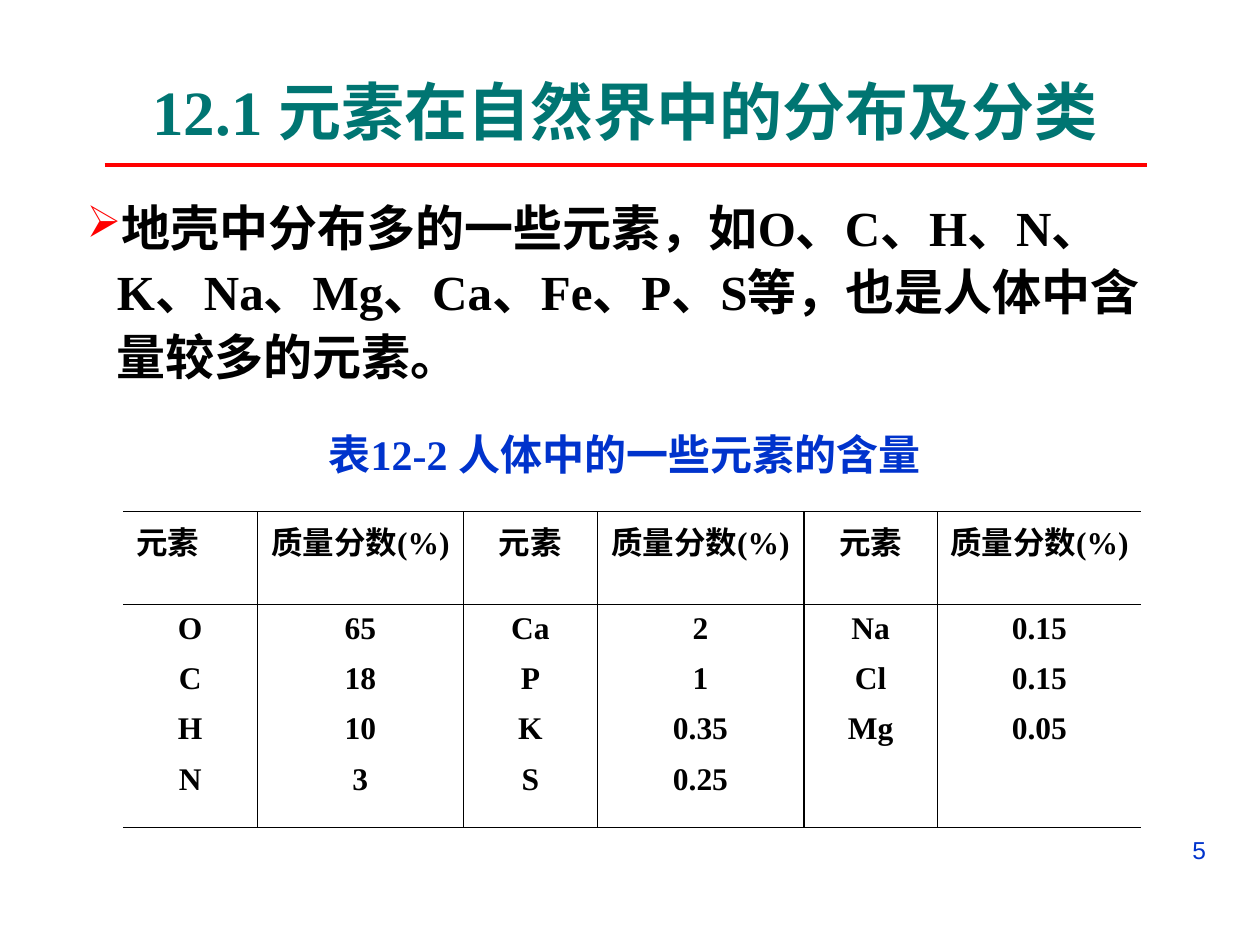
import pptx
import pptx.util
import pptx.dml.color
import pptx.enum.shapes
import pptx.enum.text
import pptx.oxml
import pptx.oxml.ns
from lxml import etree

Inches, Pt = pptx.util.Inches, pptx.util.Pt
ALIGN = pptx.enum.text.PP_ALIGN
ANCHOR = pptx.enum.text.MSO_ANCHOR
qn = pptx.oxml.ns.qn

# Content
TITLE = "12.1 元素在自然界中的分布及分类"
BODY = "地壳中分布多的一些元素，如O、C、H、N、K、Na、Mg、Ca、Fe、P、S等，也是人体中含量较多的元素。"
CAPTION = "表12-2 人体中的一些元素的含量"
PAGE = "5"
HEADER = ["元素", "质量分数(%)"] * 3
ROWS = [
    ["O", "65", "Ca", "2", "Na", "0.15"],
    ["C", "18", "P", "1", "Cl", "0.15"],
    ["H", "10", "K", "0.35", "Mg", "0.05"],
    ["N", "3", "S", "0.25", "", ""],
]
COL_WIDTHS = [1.06, 1.64, 1.06, 1.64, 1.06, 1.62]
ROW_HEIGHTS = [0.7, 0.4, 0.4, 0.4, 0.57]

COLORS = {"title": "007572", "rule": "FF0000", "accent": "0033CC", "text": "000000"}
SERIF, CJK = "Times New Roman", "Noto Sans CJK SC"
THIN, THICK = 0.45, 0.96
NO_STYLE = "{2D5ABB26-0587-4C30-8999-92F81FD0307C}"


def rgb(name):
    return pptx.dml.color.RGBColor.from_string(COLORS[name])


def write(tf, text, size, color="text", font=SERIF, bold=True, align=ALIGN.CENTER):
    """Put one formatted paragraph into a text frame."""
    p = tf.paragraphs[0]
    p.alignment = align
    r = p.add_run()
    r.text = text
    for name, value in {"size": Pt(size), "bold": bold, "name": font}.items():
        setattr(r.font, name, value)
    r.font.color.rgb = rgb(color)
    etree.SubElement(r.font._element, qn("a:ea"), typeface=CJK)
    return p


def set_frame(tf, anchor):
    values = {
        "word_wrap": True, "vertical_anchor": anchor,
        "auto_size": pptx.enum.text.MSO_AUTO_SIZE.NONE,
        "margin_left": Inches(0.1), "margin_right": Inches(0.1),
        "margin_top": Inches(0.05), "margin_bottom": Inches(0.05),
    }
    for name, value in values.items():
        setattr(tf, name, value)
    return tf


def add_text(s, box, anchor=ANCHOR.TOP):
    return set_frame(s.shapes.add_textbox(*map(Inches, box)).text_frame, anchor)


def add_bullet(p, char, color, indent):
    pPr = p._p.get_or_add_pPr()
    pPr.set("marL", str(Inches(indent)))
    pPr.set("indent", str(-Inches(indent)))
    clr = etree.SubElement(pPr, qn("a:buClr"))
    etree.SubElement(clr, qn("a:srgbClr"), val=COLORS[color])
    etree.SubElement(pPr, qn("a:buSzPct"), val="90000")
    etree.SubElement(pPr, qn("a:buChar"), char=char)


def set_borders(cell, widths):
    """Draw the given sides (L, R, T, B) with widths in points; hide the others."""
    tcPr = cell._tc.get_or_add_tcPr()
    for i, side in enumerate("LRTB"):
        width = widths.get(side)
        ln = etree.Element(qn("a:ln" + side), w=str(Pt(width or 0)))
        tcPr.insert(i, ln)
        if width:
            fill = etree.SubElement(ln, qn("a:solidFill"))
            etree.SubElement(fill, qn("a:srgbClr"), val=COLORS["text"])
        else:
            etree.SubElement(ln, qn("a:noFill"))


def add_element_table(s):
    data = [HEADER] + ROWS
    last_row, last_col = len(data) - 1, len(HEADER) - 1
    frame = s.shapes.add_table(
        len(data), len(HEADER), Inches(0.98), Inches(4.06),
        Inches(sum(COL_WIDTHS)), Inches(sum(ROW_HEIGHTS)))
    table = frame.table
    table.first_row = table.horz_banding = False
    table._tbl.tblPr.find(qn("a:tableStyleId")).text = NO_STYLE
    for col, width in zip(table.columns, COL_WIDTHS):
        col.width = Inches(width)
    for row, height in zip(table.rows, ROW_HEIGHTS):
        row.height = Inches(height)

    for i, values in enumerate(data):
        for j, value in enumerate(values):
            cell = table.cell(i, j)
            cell.fill.background()
            if value:
                first = i == j == 0
                write(cell.text_frame, value, 18, font=CJK if first else SERIF,
                      align=ALIGN.LEFT if first else ALIGN.CENTER)
            # Thick rules separate the element/percentage pairs
            widths = {}
            if j > 0:
                widths["L"] = THIN if j % 2 else THICK
            if j < last_col:
                widths["R"] = THICK if j % 2 else THIN
            if i <= 1:
                widths["T"] = THIN
            if i in (0, last_row):
                widths["B"] = THIN
            set_borders(cell, widths)


def main():
    prs = pptx.Presentation()
    prs.slide_width, prs.slide_height = Inches(10), Inches(7.5)
    s = prs.slides.add_slide(prs.slide_layouts[5])

    # Title
    title = s.shapes.title
    box = dict(left=0.67, top=0.52, width=8.58, height=0.71)
    for name, value in box.items():
        setattr(title, name, Inches(value))
    write(set_frame(title.text_frame, ANCHOR.MIDDLE), TITLE, 36, "title")

    # Rule under the title
    rule = s.shapes.add_connector(
        pptx.enum.shapes.MSO_CONNECTOR.STRAIGHT,
        Inches(0.83), Inches(1.31), Inches(9.1), Inches(1.31))
    rule.line.color.rgb = rgb("rule")
    rule.line.width = Pt(2.25)
    etree.SubElement(rule._element.spPr, qn("a:effectLst"))

    # Bulleted statement
    p = write(add_text(s, (0.59, 1.47, 8.9, 1.73)), BODY, 28, align=ALIGN.LEFT)
    p.line_spacing = 1.1
    p.space_before = Pt(3.5)
    add_bullet(p, "➢", "rule", 0.24)

    # Table and its caption
    write(add_text(s, (2.16, 3.35, 5.59, 0.5), ANCHOR.MIDDLE), CAPTION, 24, "accent")
    add_element_table(s)

    # Page number
    write(add_text(s, (7.17, 6.58, 2.5, 0.52)), PAGE, 14, "accent", "Arial", False, ALIGN.RIGHT)

    prs.save("out.pptx")


if __name__ == "__main__":
    main()
